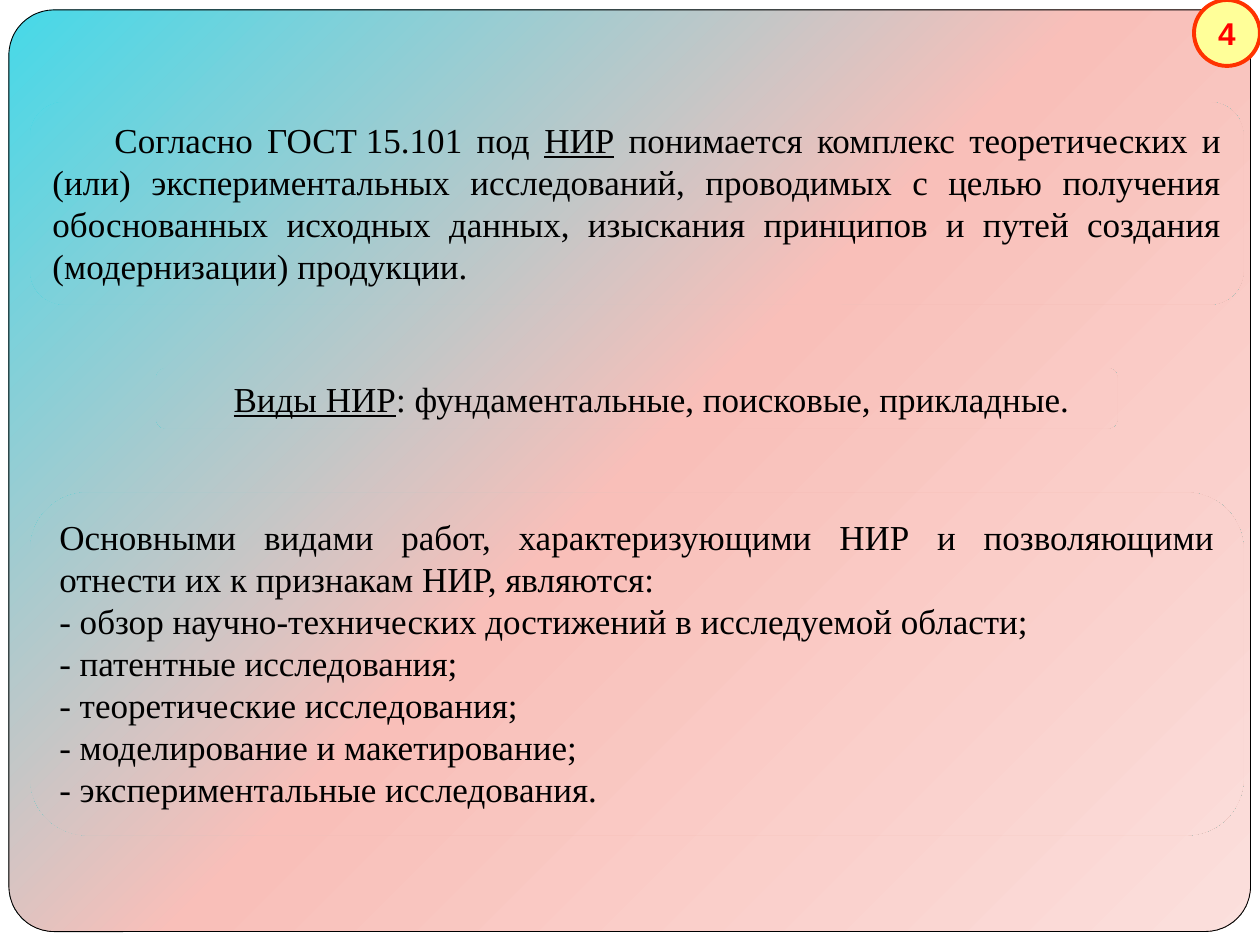
from copy import deepcopy

from pptx import Presentation
from pptx.dml.color import RGBColor
from pptx.enum.shapes import MSO_SHAPE
from pptx.enum.text import MSO_ANCHOR, PP_ALIGN
from pptx.util import Cm, Pt

COLORS = {
    "cyan": "43D9E9", "pink": "F9BFB9", "pale": "FBE0DD", "white": "FFFFFF",
    "black": "000000", "yellow": "FFFF99", "orange": "FF3300", "red": "FF0000",
}


def color(name):
    return RGBColor.from_string(COLORS[name])


def add_box(kind, left, top, width, height, fill=None):
    """Add a shape with a solid fill, or one that shows the slide background."""
    shape = slide.shapes.add_shape(kind, Cm(left), Cm(top), Cm(width), Cm(height))
    shape.shadow.inherit = False
    if fill:
        shape.fill.solid()
        shape.fill.fore_color.rgb = color(fill)
    else:
        shape._element.set("useBgFill", "1")
    return shape


presentation = Presentation()
presentation.slide_width, presentation.slide_height = Cm(25.4), Cm(19.05)
slide = presentation.slides.add_slide(presentation.slide_layouts[6])

# Diagonal three-colour background
background = slide.background.fill
background.gradient()
background.gradient_angle = 315
first_stop = background.gradient_stops[0]._gs
first_stop.addnext(deepcopy(first_stop))
for stop, name, position in zip(background.gradient_stops, ("cyan", "pink", "pale"), (0, 0.5, 1)):
    stop.color.rgb = color(name)
    stop.position = position

# White margin and rounded frame
margin = add_box(MSO_SHAPE.RECTANGLE, 0, 0, 25.4, 19.05, "white")
margin.line.fill.background()
frame = add_box(MSO_SHAPE.ROUNDED_RECTANGLE, 0.18, 0.2, 25.03, 18.58)
frame.adjustments[0] = 0.049
frame.line.color.rgb = color("black")
frame.line.width = Pt(0.5)

# Page number badge
badge = add_box(MSO_SHAPE.OVAL, 24.07, 0, 1.33, 1.33, "yellow")
badge.line.color.rgb = color("orange")
badge.line.width = Pt(2.25)
badge.text_frame.word_wrap = False
badge.text_frame.text = "4"
badge.text_frame.vertical_anchor = MSO_ANCHOR.MIDDLE
paragraph = badge.text_frame.paragraphs[0]
paragraph.alignment = PP_ALIGN.CENTER
font = paragraph.runs[0].font
font.name, font.size, font.bold = "Arial", Pt(18), True
font.color.rgb = color("red")

# Text panels: box, first-line indent, paragraphs as (text, underlined) runs
panels = [
    ((0.61, 2.06, 24.46, 4.08), 1.25, [
        [("Согласно ГОСТ\u00a015.101 под ", False), ("НИР", True),
         (" понимается комплекс теоретических и (или) экспериментальных исследований, "
          "проводимых с целью получения обоснованных исходных данных, изыскания "
          "принципов и путей создания (модернизации) продукции.", False)],
    ]),
    ((3.15, 7.42, 19.38, 1.22), 1.25, [
        [("Виды НИР", True), (": фундаментальные, поисковые, прикладные.", False)],
    ]),
    ((0.61, 9.93, 24.46, 6.91), 0, [
        [("Основными видами работ, характеризующими НИР и позволяющими "
          "отнести их к признакам НИР, являются:", False)],
        [("- обзор научно-технических достижений в исследуемой области;", False)],
        [("- патентные исследования;", False)],
        [("- теоретические исследования;", False)],
        [("- моделирование и макетирование;", False)],
        [("- экспериментальные исследования.", False)],
    ]),
]
for box, indent, paragraphs in panels:
    panel = add_box(MSO_SHAPE.ROUNDED_RECTANGLE, *box)
    panel.line.fill.background()
    text_frame = panel.text_frame
    text_frame.word_wrap = True
    text_frame.vertical_anchor = MSO_ANCHOR.TOP
    for index, runs in enumerate(paragraphs):
        paragraph = text_frame.add_paragraph() if index else text_frame.paragraphs[0]
        paragraph.alignment = PP_ALIGN.JUSTIFY
        paragraph._p.get_or_add_pPr().set("indent", str(Cm(indent)))
        for text, underlined in runs:
            run = paragraph.add_run()
            run.text = text
            run.font.name, run.font.size = "Times New Roman", Pt(20)
            run.font.underline = underlined
            run.font.color.rgb = color("black")

presentation.save("out.pptx")
